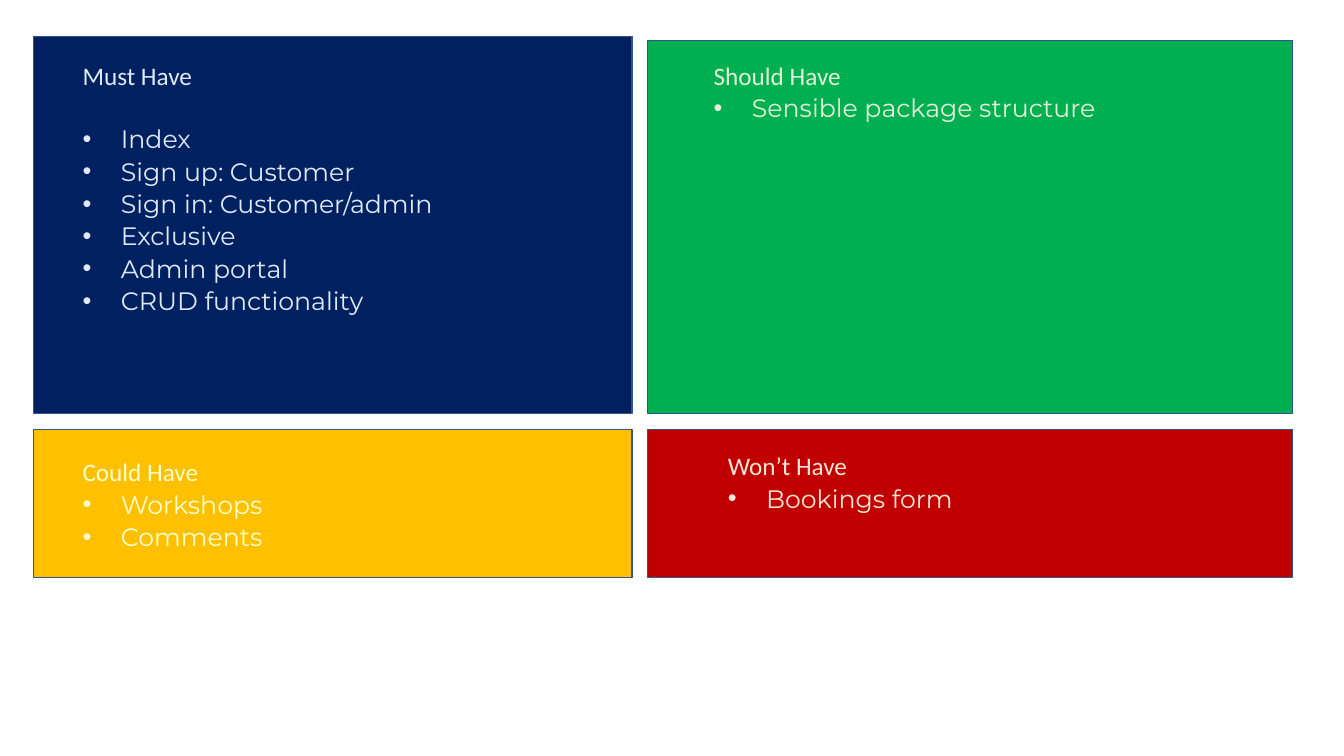
from dataclasses import dataclass

from lxml import etree
from pptx import Presentation
from pptx.dml.color import RGBColor
from pptx.enum.shapes import MSO_SHAPE
from pptx.enum.text import MSO_AUTO_SIZE
from pptx.oxml.ns import qn
from pptx.util import Inches, Pt

RECTANGLE = MSO_SHAPE.RECTANGLE
GROW_TO_TEXT = MSO_AUTO_SIZE.SHAPE_TO_FIT_TEXT

NAVY, PALE_BLUE = RGBColor(0x00, 0x20, 0x60), RGBColor(0xDE, 0xEB, 0xF7)
GREEN, PALE_GREEN = RGBColor(0x00, 0xB0, 0x50), RGBColor(0xE2, 0xF0, 0xD9)
AMBER, PALE_YELLOW = RGBColor(0xFF, 0xC0, 0x00), RGBColor(0xFF, 0xFF, 0xCC)
RED, PALE_ORANGE = RGBColor(0xC0, 0x00, 0x00), RGBColor(0xFB, 0xE5, 0xD6)
OUTLINE = RGBColor(0x32, 0x54, 0x91)

HEADING_FONT, ITEM_FONT = "Calibri", "Montserrat"
TEXT_SIZE = Pt(18)
BULLET_INDENT = Inches(0.38)

# Grid in inches: (start, length) of each column and row
COLUMNS = [(0.33, 5.94), (6.42, 6.4)]
ROWS = [(0.36, 3.74), (4.26, 1.47)]


@dataclass
class Priority:
    column: int
    row: int
    heading: str
    items: list
    fill: RGBColor
    ink: RGBColor
    text_box: tuple  # left and top offsets in the panel, width, height
    drop: float = 0  # how far the panel's top edge sits below its row
    heading_gap: int = 0
    item_gap: int = 0


PRIORITIES = [
    Priority(0, 0, "Must Have",
             ["Index", "Sign up: Customer", "Sign in: Customer/admin",
              "Exclusive", "Admin portal", "CRUD functionality"],
             NAVY, PALE_BLUE, (0.39, 0.19, 5.39, 2.95), heading_gap=22),
    Priority(1, 0, "Should Have", ["Sensible package structure"],
             GREEN, PALE_GREEN, (0.56, 0.15, 5.98, 1.04), drop=0.04),
    Priority(0, 1, "Could Have", ["Workshops", "Comments"],
             AMBER, PALE_YELLOW, (0.39, 0.22, 5.39, 1.03)),
    Priority(1, 1, "Won’t Have", ["Bookings form"],
             RED, PALE_ORANGE, (0.7, 0.16, 3.56, 1.14), item_gap=8),
]


def add_span(para, text, font_name, color):
    span = para.add_run()
    span.text = text
    span.font.name = font_name
    span.font.size = TEXT_SIZE
    span.font.color.rgb = color


def add_bullet(para):
    properties = para._p.get_or_add_pPr()
    properties.set("marL", str(BULLET_INDENT))
    properties.set("indent", str(-BULLET_INDENT))
    etree.SubElement(properties, qn("a:buFont")).set("typeface", "Arial")
    etree.SubElement(properties, qn("a:buChar")).set("char", "•")


def add_panel(page, box, fill):
    panel = page.shapes.add_shape(RECTANGLE, *map(Inches, box))
    panel.shadow.inherit = False
    panel.fill.solid()
    panel.fill.fore_color.rgb = fill
    panel.line.color.rgb = OUTLINE
    panel.line.width = Pt(1)


def add_list(page, box, priority):
    frame = page.shapes.add_textbox(*map(Inches, box)).text_frame
    frame.word_wrap = True
    frame.auto_size = GROW_TO_TEXT
    heading = frame.paragraphs[0]
    heading.space_after = Pt(priority.heading_gap)
    add_span(heading, priority.heading, HEADING_FONT, priority.ink)
    for item in priority.items:
        para = frame.add_paragraph()
        para.line_spacing = 1.07
        para.space_after = Pt(priority.item_gap)
        add_bullet(para)
        add_span(para, item, ITEM_FONT, priority.ink)


def add_priority(page, box, priority):
    """Place a coloured panel in the box, with its heading and list on top."""
    left, top, width, height = box
    add_panel(page, box, priority.fill)
    inset_x, inset_y, text_width, text_height = priority.text_box
    add_list(page, (left + inset_x, top + inset_y, text_width, text_height), priority)


def main():
    deck = Presentation()
    deck.slide_width, deck.slide_height = Inches(13.33), Inches(7.5)
    page = deck.slides.add_slide(deck.slide_layouts[6])
    for priority in PRIORITIES:
        left, width = COLUMNS[priority.column]
        top, height = ROWS[priority.row]
        drop = priority.drop
        add_priority(page, (left, top + drop, width, height - drop), priority)
    deck.save("out.pptx")


if __name__ == "__main__":
    main()
